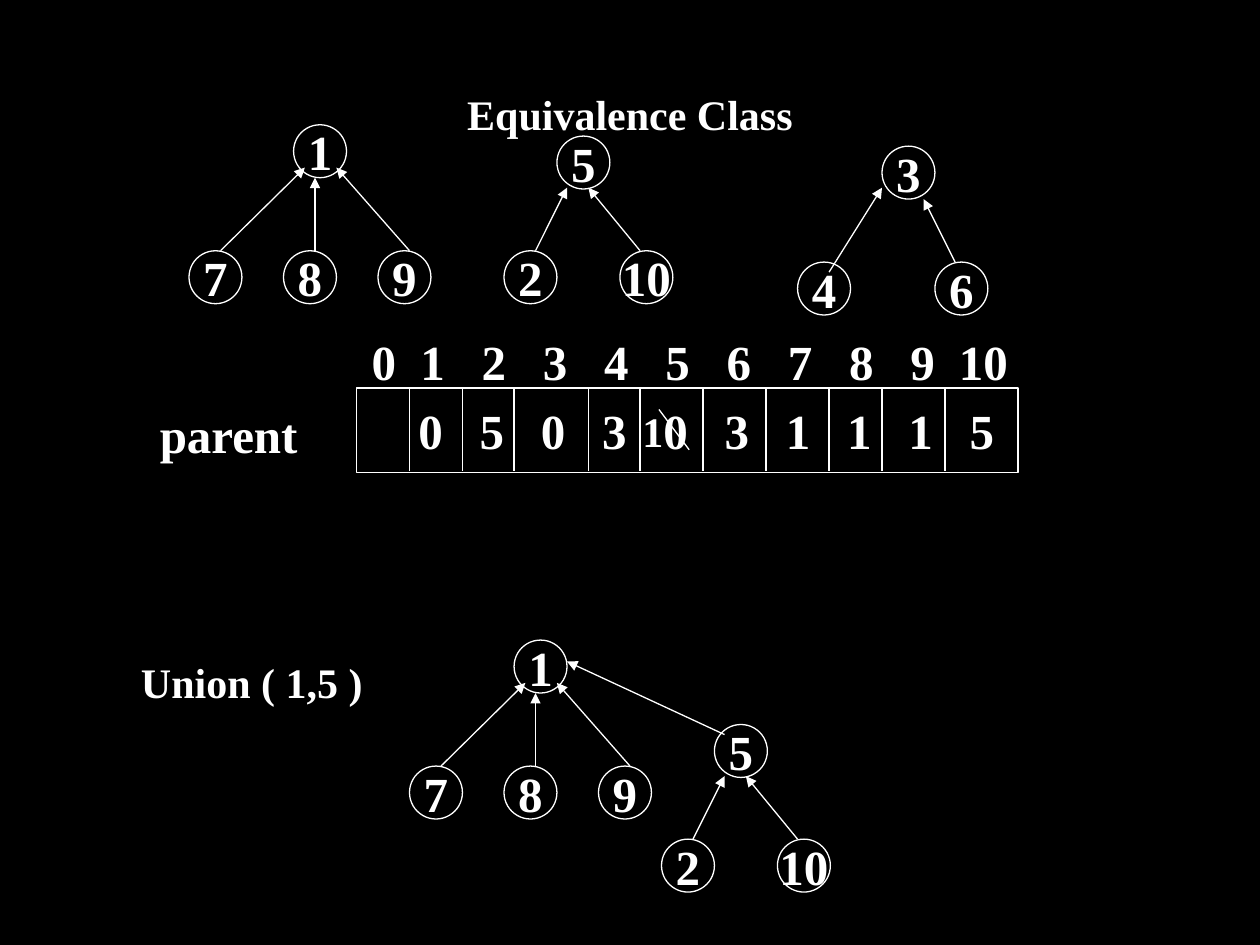
from pptx import Presentation
from pptx.dml.color import RGBColor
from pptx.enum import shapes as kinds, text as txt
from pptx.oxml import ns, xmlchemy as xc
from pptx.util import Inches, Pt

WHITE = "FFFFFF"
hue = RGBColor.from_string
LEFT, MID = txt.PP_ALIGN.LEFT, txt.PP_ALIGN.CENTER

deck = Presentation()
deck.slide_width, deck.slide_height = Inches(10), Inches(7.5)
slide = deck.slides.add_slide(deck.slide_layouts[5])
slide.background.fill.solid()
slide.background.fill.fore_color.rgb = hue("000000")
parts = slide.shapes


def write(shape, words, size, align=LEFT, before=0, wrap=True):
    frame = shape.text_frame
    frame.text = words
    frame.word_wrap = wrap
    para = frame.paragraphs[0]
    para.alignment = align
    para.space_before = Pt(before)
    font = para.runs[0].font
    font.name, font.size, font.bold = "Times New Roman", Pt(size), True
    font.color.rgb = hue(WHITE)
    return frame


def link(x1, y1, x2, y2, arrow=False):
    line = parts.add_connector(kinds.MSO_CONNECTOR.STRAIGHT, Inches(x1),
                               Inches(y1), Inches(x2), Inches(y2))
    line.line.color.rgb = hue(WHITE)
    line.line.width = Pt(0.75)
    if arrow:
        tail = xc.OxmlElement("a:tailEnd")
        tail.set("type", "triangle")
        line.line._get_or_add_ln().append(tail)
    line._element.spPr.append(xc.OxmlElement("a:effectLst"))


# Title, in the upper part of its box
title = parts.title
title.left, title.top = Inches(0.75), Inches(0.67)
title.width, title.height = Inches(8.5), Inches(0.83)
frame = write(title, "Equivalence Class", 24, MID)
frame.auto_size = txt.MSO_AUTO_SIZE.NONE
frame.vertical_anchor = txt.MSO_ANCHOR.MIDDLE
frame.margin_top, frame.margin_bottom = Inches(0.05), Inches(0.42)

# Parent array: frame and cell borders
array = parts.add_shape(kinds.MSO_SHAPE.RECTANGLE, Inches(2.83), Inches(3.08),
                        Inches(5.25), Inches(0.67))
array.shadow.inherit = False
array.fill.background()
array.line.color.rgb = hue(WHITE)
array.line.width = Pt(0.75)
for x in (3.25, 3.67, 4.08, 4.67, 5.08, 5.58, 6.08, 6.58, 7, 7.5):
    link(x, 3.08, x, 3.74)

# Array values and indices, spaced by tab stops
index = parts.add_textbox(Inches(2.75), Inches(2.58), Inches(5.58), Inches(0.57))
pitch = 35 / 72
stops = [pitch * k for k in range(1, 11)]
rows = [
    (array, "0 5 0 3 0 3 1 1 1 5", 7, 0.49, stops[:9]),
    (index, "0 1 2 3 4 5 6 7 8 9 10", 17.5, 0.2,
     [s - 0.1 for s in stops[:9]] + [stops[9] - 0.2]),
]
for shape, words, before, inset, places in rows:
    frame = write(shape, words.replace(" ", "\t"), 28, before=before)
    frame.margin_left, frame.margin_right = Inches(inset), 0
    props = frame.paragraphs[0]._p.get_or_add_pPr()
    tabs = xc.OxmlElement("a:tabLst")
    for place in places:
        tab = xc.OxmlElement("a:tab")
        tab.set("pos", str(int(Inches(place))))
        tab.set("algn", "l")
        tabs.append(tab)
    props.append(tabs)

# Labels, and the new parent of 5 beside its crossed-out value
labels = [
    ("parent", 1.17, 3.16, 1.67, 0.57, 28, 17.5),
    ("Union ( 1,5 )", 1.02, 5.16, 4.75, 0.5, 24, 15),
    ("1", 5, 3.17, 0.47, 0.5, 24, 15),
]
for words, x, y, w, h, size, before in labels:
    box = parts.add_textbox(Inches(x), Inches(y), Inches(w), Inches(h))
    write(box, words, size, before=before)
link(5.23, 3.25, 5.47, 3.57)

# Trees: nodes and arrows measured from the corner of the root
one = ([("1", 0, 0), ("7", -0.83, 1), ("8", -0.08, 1), ("9", 0.67, 1)],
       [(-0.58, 1, 0.09, 0.34), (0.17, 1, 0.17, 0.42), (0.92, 1, 0.34, 0.34)])
five = ([("5", 0, 0), ("2", -0.42, 0.91), ("10", 0.5, 0.91)],
        [(-0.17, 0.91, 0.08, 0.41), (0.66, 0.91, 0.25, 0.41)])
three = ([("3", 0, 0), ("4", -0.67, 0.92), ("6", 0.42, 0.92)],
         [(-0.42, 1, 0, 0.33), (0.58, 0.92, 0.33, 0.42)])
trees = [(one, 2.33, 0.99), (five, 4.42, 1.08), (three, 7, 1.16),
         (one, 4.08, 5.08), (five, 5.67, 5.75)]
for (nodes, edges), x, y in trees:
    for name, dx, dy in nodes:
        node = parts.add_shape(kinds.MSO_SHAPE.OVAL, Inches(x + dx),
                               Inches(y + dy), Inches(0.42), Inches(0.42))
        node.shadow.inherit = False
        node.fill.background()
        node.line.color.rgb = hue(WHITE)
        node.line.width = Pt(0.75)
        write(node, name, 28, MID, 7, wrap=False)
    for x1, y1, x2, y2 in edges:
        link(x + x1, y + y1, x + x2, y + y2, arrow=True)

# Union joins root 5 to root 1
link(5.75, 5.83, 4.5, 5.25, arrow=True)

deck.save("out.pptx")
